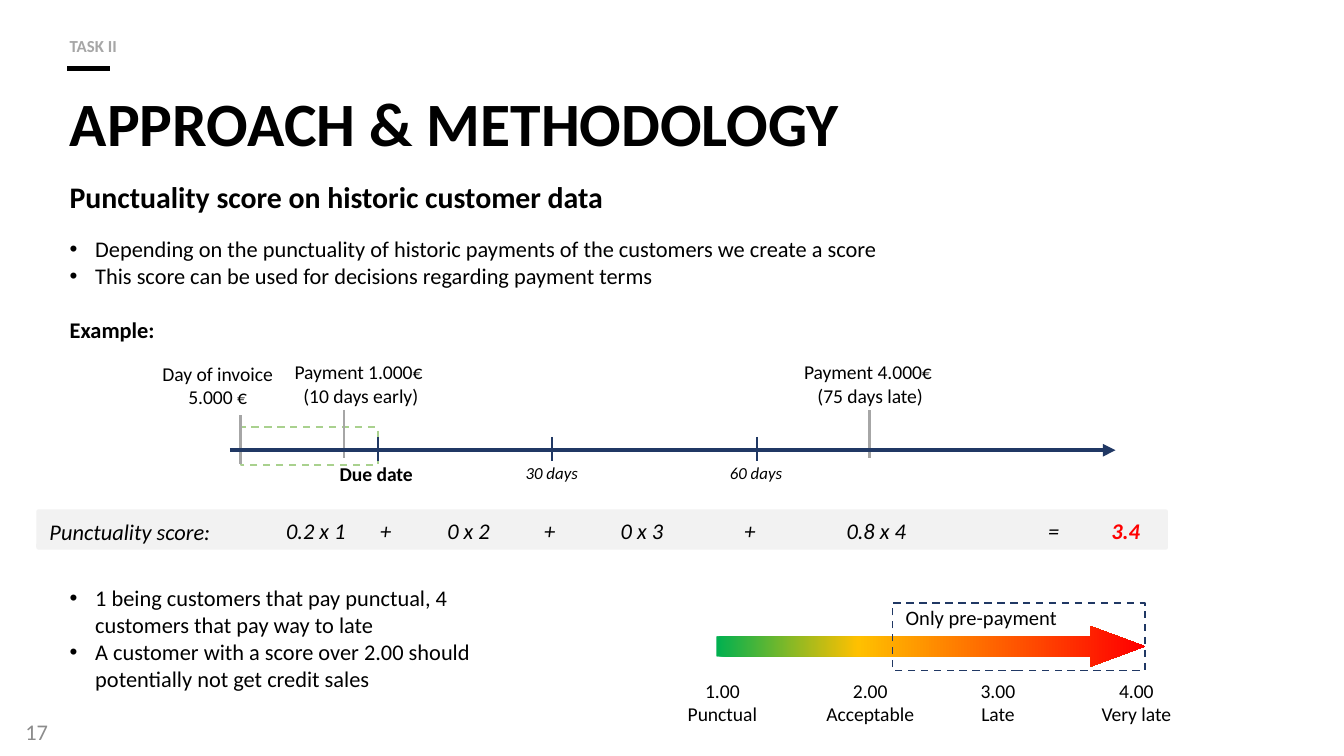
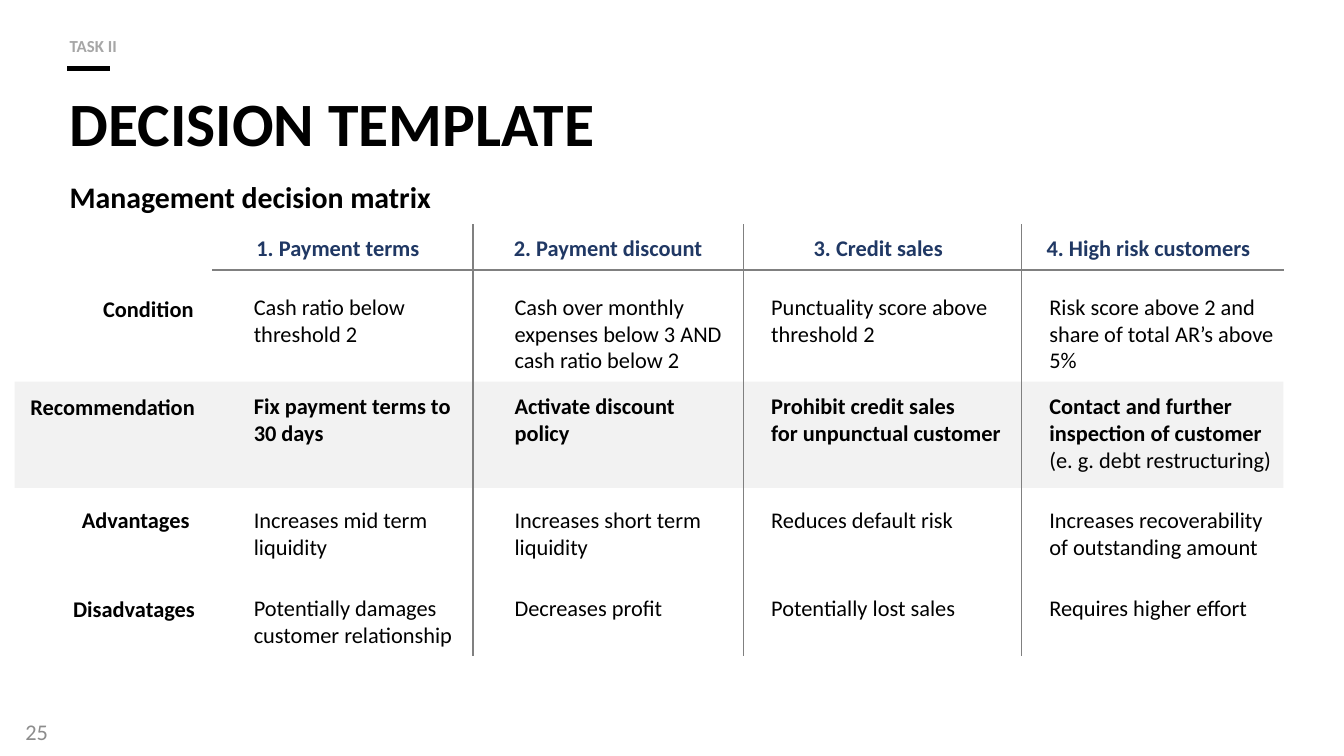
from copy import deepcopy
from dataclasses import dataclass

from lxml.etree import SubElement
from pptx import Presentation
from pptx.dml.color import RGBColor
from pptx.enum.dml import MSO_LINE_DASH_STYLE as Dash
from pptx.enum.shapes import MSO_CONNECTOR as Link, MSO_SHAPE as Form
from pptx.enum.text import MSO_ANCHOR as Anchor, MSO_AUTO_SIZE as Fit, PP_ALIGN as Align
from pptx.oxml.ns import qn
from pptx.util import Emu, Pt


@dataclass(frozen=True)
class Theme:
    font: str = "Calibri"
    ink: str = "000000"
    navy: str = "203864"
    grey: str = "A6A6A6"
    rule: str = "808080"
    number: str = "8C8C8C"
    band: str = "F2F2F2"
    green: str = "A9D18E"
    red: str = "FF0000"
    ramp: tuple = ((0, "00B050"), (0.33, "FFC000"), (0.99, "FF0000"))
    title: float = 33
    subtitle: float = 16
    body: float = 12
    callout: float = 11
    label: float = 10.5
    small: float = 9


THEME = Theme()
EMU_PER_PX = 9144
SLIDE_W = 1000
LEFT = 42
NBSP = chr(160)

APPROACH = dict(
    eyebrow="TASK II", title="APPROACH & METHODOLOGY", number="17",
    subtitle="Punctuality score on historic customer data", subtitle_width=423)
INTRO = [
    "Depending on the punctuality of historic payments of the customers we create a score",
    "This score can be used for decisions regarding payment terms",
]
EXAMPLE = "Example:"
CONCLUSIONS = [
    "1 being customers that pay punctual, 4 customers that pay way to late",
    "A customer with a score over 2.00 should potentially not get credit sales",
]
EVENTS = [
    ("Day of invoice 5.000 €", (97, 264, 130, 45), 179, 309),
    ("Payment 1.000€ \n(10 days early)", (190, 263, 157, 45), 256, 305),
    ("Payment 4.000€ \n(75 days late)", (569, 263, 157, 45), 647, 305),
]
MILESTONES = [
    ("Due date", 281, (242, 339, 76, 28), dict(size=THEME.label, bold=True)),
    ("30 days", 411, (381, 339, 59, 25), dict(size=THEME.small, italic=True)),
    ("60 days", 563, (533, 339, 59, 25), dict(size=THEME.small, italic=True)),
]
SCORE_NAME = "Punctuality score:"
SCORE_TERMS = ["0.2 x 1", "+", "0 x 2", "+", "0 x 3", "+", "0.8 x 4", "="]
SCORE_TABS = [70, 120, 192, 249, 341, 417, 567, 614]
SCORE_RESULT = "3.4"
PRE_PAYMENT = "Only pre-payment"
GRADES = [
    ("1.00", "Punctual", 490, 95),
    ("2.00", "Acceptable", 595, 105),
    ("3.00", "Late", 695, 95),
    ("4.00", "Very late", 788, 115),
]

DECISION = dict(
    eyebrow="TASK II", title="DECISION TEMPLATE", number="25",
    subtitle="Management decision matrix", subtitle_width=292)
OPTIONS = ["1. Payment terms", f"2. Payment{NBSP}discount", "3. Credit sales",
           "4. High risk customers"]
OPTION_COLUMNS = [(179, 170), (373, 179), (564, 194), (771, 187)]
OPTION_DIVIDERS = [352, 553, 760]
CRITERIA = [
    ("Condition", (65, 215, 89), 213, False, [
        ["Cash ratio below threshold 2"],
        ["Cash over monthly expenses below 3 AND", f"cash ratio below 2{NBSP}"],
        [f"Punctuality score{NBSP}above threshold 2"],
        ["Risk score above 2 and share of total AR’s above 5%"]]),
    ("Recommendation", (11, 288, 144), 287, True, [
        ["Fix payment terms to 30 days"],
        [f"Activate discount policy{NBSP}"],
        [f"Prohibit credit sales for{NBSP}unpunctual{NBSP}customer"],
        [[("Contact and further inspection of customer ", {}),
          ("(e. g. debt restructuring)", dict(bold=False))]]]),
    ("Advantages", (50, 372, 101), 372, False, [
        ["Increases mid term liquidity"],
        [f"Increases{NBSP}short term liquidity"],
        ["Reduces default risk"],
        ["Increases recoverability of outstanding amount"]]),
    ("Disadvatages", (43, 438, 112), 437, False, [
        ["Potentially damages customer relationship"],
        [f"Decreases{NBSP}profit"],
        [f"Potentially lost sales{NBSP}"],
        ["Requires higher effort"]]),
]


def px(length):
    return Emu(length * EMU_PER_PX)


def scaled(lengths):
    return [px(length) for length in lengths]


def rgb(code):
    return RGBColor.from_string(code)


def add_run(paragraph, words, size, color=THEME.ink, bold=False, italic=False):
    for index, line in enumerate(words.split("\n")):
        if index:
            paragraph.add_line_break()
        run = paragraph.add_run()
        run.text = line
        font = run.font
        font.name, font.size, font.color.rgb = THEME.font, Pt(size), rgb(color)
        font.bold, font.italic = bold, italic


def add_text(slide, place, paragraphs, align=Align.LEFT, wrap=True, grow=True, **style):
    frame = slide.shapes.add_textbox(*scaled(place)).text_frame
    frame.word_wrap = wrap
    frame.auto_size = Fit.SHAPE_TO_FIT_TEXT if grow else Fit.NONE
    style = {"size": THEME.body, **style}
    for index, runs in enumerate(paragraphs):
        paragraph = frame.add_paragraph() if index else frame.paragraphs[0]
        paragraph.alignment = align
        for words, changes in [(runs, {})] if isinstance(runs, str) else runs:
            add_run(paragraph, words, **{**style, **changes})
    return frame


def add_bullets(paragraphs):
    indent = px(19)
    for paragraph in paragraphs:
        props = paragraph._p.get_or_add_pPr()
        props.set("marL", str(indent))
        props.set("indent", str(-indent))
        SubElement(props, qn("a:buFont")).set("typeface", "Arial")
        SubElement(props, qn("a:buChar")).set("char", "•")


def add_tabs(paragraph, stops):
    tabs = SubElement(paragraph._p.get_or_add_pPr(), qn("a:tabLst"))
    for stop in stops:
        tab = SubElement(tabs, qn("a:tab"))
        tab.set("pos", str(px(stop)))
        tab.set("algn", "l")


def add_line(slide, ends, color, width, arrow=False):
    link = slide.shapes.add_connector(Link.STRAIGHT, *scaled(ends))
    link.line.color.rgb, link.line.width = rgb(color), Pt(width)
    if arrow:
        SubElement(link.line._get_or_add_ln(), qn("a:tailEnd")).set("type", "triangle")
    SubElement(link._element.spPr, qn("a:effectLst"))


def add_form(slide, form, place, fill=None, dashed=None):
    shape = slide.shapes.add_shape(form, *scaled(place))
    shape.shadow.inherit = False
    if fill:
        shape.fill.solid()
        shape.fill.fore_color.rgb = rgb(fill)
    else:
        shape.fill.background()
    if dashed:
        shape.line.color.rgb, shape.line.width = rgb(dashed), Pt(1)
        shape.line.dash_style = Dash.DASH
    else:
        shape.line.fill.background()
    return shape


def add_ramp(shape, ramp):
    shape.fill.gradient()
    shape.fill.gradient_angle = 0
    stops = shape._element.spPr.find(".//" + qn("a:gsLst"))
    stops.insert(1, deepcopy(stops[0]))
    for stop, (position, color) in zip(shape.fill.gradient_stops, ramp):
        stop.position, stop.color.rgb = position, rgb(color)


def start_slide(deck, eyebrow, title, number, subtitle, subtitle_width):
    slide = deck.slides.add_slide(deck.slide_layouts[5])
    heading = slide.shapes.title
    heading.left, heading.top, heading.width, heading.height = scaled((LEFT, 75, 922, 90))
    frame = heading.text_frame
    frame.auto_size, frame.vertical_anchor = Fit.NONE, Anchor.BOTTOM
    frame.margin_bottom = px(47)
    line = frame.paragraphs[0]
    line.alignment, line.line_spacing = Align.LEFT, Pt(30)
    add_run(line, title, THEME.title, bold=True)

    add_line(slide, (50, 51, 82, 51), THEME.ink, 2.25)
    tag = add_text(slide, (LEFT, 18, 452, 23), [eyebrow], grow=False,
                   size=THEME.small, color=THEME.grey, bold=True).paragraphs[0]
    tag.line_spacing, tag.space_before = Pt(13.5), Pt(7.5)
    add_text(slide, (9, 529, 225, 30), [number], grow=False,
             color=THEME.number).vertical_anchor = Anchor.MIDDLE
    add_text(slide, (LEFT, 128, subtitle_width, 37), [subtitle], wrap=False,
             size=THEME.subtitle, bold=True)
    return slide


def add_timeline(slide):
    add_form(slide, Form.RECTANGLE, (179, 318, 102, 28), dashed=THEME.green)
    for event, place, x, top in EVENTS:
        add_line(slide, (x, top, x, top + 36), THEME.grey, 1.5)
        add_text(slide, place, [event], Align.CENTER, size=THEME.label)
    add_line(slide, (171, 335, 830, 335), THEME.navy, 2.25, arrow=True)
    for milestone, x, place, style in MILESTONES:
        add_line(slide, (x, 325, x, 343), THEME.navy, 1)
        add_text(slide, place, [milestone], Align.CENTER, wrap=False, **style)


def add_score(slide):
    band = add_form(slide, Form.ROUNDED_RECTANGLE, (27, 379, 842, 30), THEME.band)
    band.adjustments[0] = 0.06
    add_text(slide, (27, 381, 234, 30), [SCORE_NAME], italic=True)
    formula = [("\t".join(SCORE_TERMS) + "\t", {}),
               (SCORE_RESULT, dict(color=THEME.red, bold=True))]
    frame = add_text(slide, (203, 380, 682, 30), [formula], italic=True)
    add_tabs(frame.paragraphs[0], SCORE_TABS)


def add_scale(slide):
    arrow = add_form(slide, Form.RIGHT_ARROW, (533, 466, 319, 30))
    arrow.adjustments[0], arrow.adjustments[1] = 0.5, 1.35
    add_ramp(arrow, THEME.ramp)
    add_form(slide, Form.RECTANGLE, (664, 449, 188, 50), dashed=THEME.navy)
    add_text(slide, (664, 445, 134, 29), [PRE_PAYMENT], wrap=False, size=THEME.callout)
    for grade, meaning, left, width in GRADES:
        add_text(slide, (left, 500, width, 47), [grade, meaning], Align.CENTER,
                 size=THEME.label)


def build_approach(deck):
    slide = start_slide(deck, **APPROACH)
    intro = add_text(slide, (LEFT, 170, 810, 91),
                     [*INTRO, [(EXAMPLE, dict(bold=True))]]).paragraphs
    add_bullets(intro[:-1])
    intro[-1].space_before = Pt(14.6)
    add_timeline(slide)
    add_score(slide)
    add_bullets(add_text(slide, (LEFT, 430, 371, 91), CONCLUSIONS).paragraphs)
    add_scale(slide)


def build_decision(deck):
    slide = start_slide(deck, **DECISION)
    add_form(slide, Form.RECTANGLE, (11, 284, 944, 79), THEME.band)
    add_line(slide, (158, 201, 955, 201), THEME.rule, 0.75)
    for x in OPTION_DIVIDERS:
        add_line(slide, (x, 167, x, 488), THEME.rule, 0.75)
    for index, option in enumerate(OPTIONS):
        add_text(slide, (151 + 201 * index, 169, 201, 30), [option], Align.CENTER,
                 color=THEME.navy, bold=True)
    for criterion, place, top, bold, answers in CRITERIA:
        add_text(slide, (*place, 30), [criterion], Align.RIGHT, wrap=False, bold=True)
        for (left, width), answer in zip(OPTION_COLUMNS, answers):
            add_text(slide, (left, top, width, 50), answer, bold=bold)


def main():
    deck = Presentation()
    deck.slide_width = px(SLIDE_W)
    deck.slide_height = deck.slide_width * 9 // 16
    build_approach(deck)
    build_decision(deck)
    deck.save("out.pptx")


if __name__ == "__main__":
    main()
